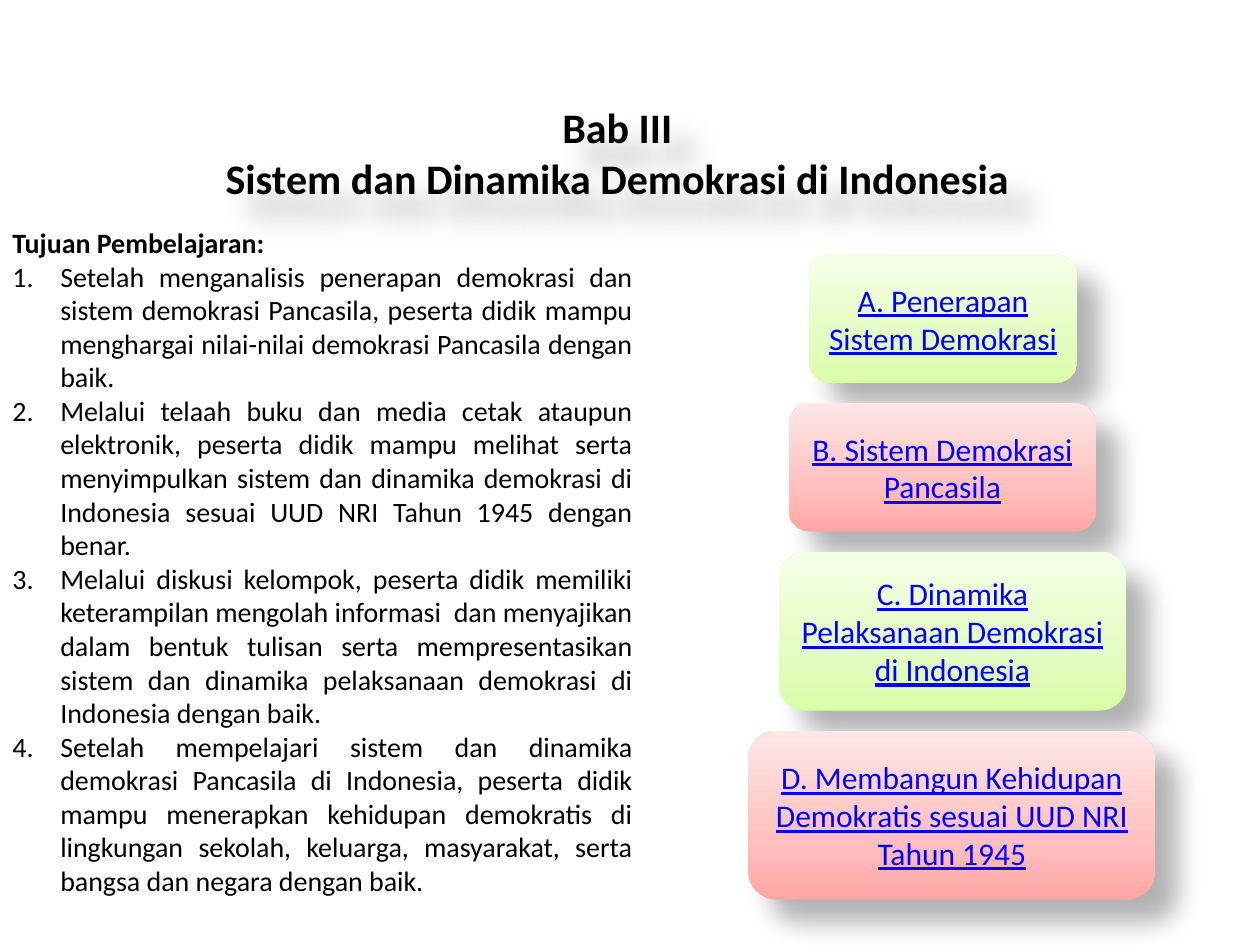
from lxml import etree
from pptx import Presentation
from pptx.dml.color import RGBColor
from pptx.enum.shapes import MSO_SHAPE
from pptx.enum.text import MSO_ANCHOR, PP_ALIGN
from pptx.oxml.ns import qn
from pptx.util import Inches, Pt

ROUNDED = MSO_SHAPE.ROUNDED_RECTANGLE
MIDDLE, TOP = MSO_ANCHOR.MIDDLE, MSO_ANCHOR.TOP
CENTER, JUSTIFY = PP_ALIGN.CENTER, PP_ALIGN.JUSTIFY

THEME = {
    "font": "Calibri",
    "text": "000000",
    "link": "0000FF",
    "title_size": 24,
    "body_size": 16,
    "button_size": 18,
    "green": ((0, "DAFDA7"), (35, "E4FCC2"), (100, "F5FFE7")),
    "red": ((0, "FFA6A5"), (35, "FFC0BF"), (100, "FFE7E7")),
    "shadow": {"color": "000000", "alpha": 30, "blur": 15, "distance": 18, "angle": 45},
}

TITLE = "Bab III\vSistem dan Dinamika Demokrasi di Indonesia"
GOALS_HEADING = "Tujuan Pembelajaran:"
GOALS = [
    "Setelah menganalisis penerapan demokrasi dan sistem demokrasi Pancasila, "
    "peserta didik mampu menghargai nilai-nilai demokrasi Pancasila dengan baik.",
    "Melalui telaah buku dan media cetak ataupun elektronik, peserta didik mampu "
    "melihat serta menyimpulkan sistem dan dinamika demokrasi di Indonesia sesuai "
    "UUD NRI Tahun 1945 dengan benar.",
    "Melalui diskusi kelompok, peserta didik memiliki keterampilan mengolah informasi  "
    "dan menyajikan dalam bentuk tulisan serta mempresentasikan sistem dan dinamika "
    "pelaksanaan demokrasi di Indonesia dengan baik.",
    "Setelah mempelajari sistem dan dinamika demokrasi Pancasila di Indonesia, peserta "
    "didik mampu menerapkan kehidupan demokratis di lingkungan sekolah, keluarga, "
    "masyarakat, serta bangsa dan negara dengan baik.",
]
BUTTONS = [
    ("A. Penerapan Sistem Demokrasi", 6.42, 2.13, 1.02),
    ("B. Sistem Demokrasi Pancasila", 6.26, 2.44, 1.02),
    ("C. Dinamika Pelaksanaan Demokrasi di Indonesia", 6.18, 2.76, 1.26),
    ("D. Membangun Kehidupan Demokratis sesuai UUD NRI Tahun 1945", 5.94, 3.23, 1.34),
]
BUTTON_COLORS = ("green", "red")
BUTTONS_TOP = 2.02
BUTTON_GAP = 0.16
NUMBER_INDENT = 0.38


def write(paragraph, text, size, color="text", align=CENTER, bold=False, underline=False):
    paragraph.text = text
    paragraph.alignment = align
    for run in paragraph.runs:
        run.font.name = THEME["font"]
        run.font.size = Pt(size)
        run.font.bold = bold
        run.font.underline = underline
        run.font.color.rgb = RGBColor.from_string(THEME[color])


def number(paragraph):
    properties = paragraph._p.get_or_add_pPr()
    indent = Inches(NUMBER_INDENT)
    properties.set("marL", str(indent))
    properties.set("indent", str(-indent))
    etree.SubElement(properties, qn("a:buFont"), typeface="+mj-lt")
    etree.SubElement(properties, qn("a:buAutoNum"), type="arabicPeriod")


def add_shadow(shape):
    style = THEME["shadow"]
    shape.shadow.inherit = False
    effects = shape._element.spPr.find(qn("a:effectLst"))
    shadow = etree.SubElement(
        effects, qn("a:outerShdw"), blurRad=str(Pt(style["blur"])),
        dist=str(Pt(style["distance"])), dir=str(style["angle"] * 60000),
        algn="tl", rotWithShape="0")
    color = etree.SubElement(shadow, qn("a:srgbClr"), val=style["color"])
    etree.SubElement(color, qn("a:alpha"), val=str(style["alpha"] * 1000))


def fill_gradient(shape, stops):
    shape.fill.gradient()
    shape.fill.gradient_angle = 90
    stop_list = shape._element.spPr.find(".//" + qn("a:gsLst"))
    for old_stop in list(stop_list):
        stop_list.remove(old_stop)
    for position, color in stops:
        stop = etree.SubElement(stop_list, qn("a:gs"), pos=str(position * 1000))
        etree.SubElement(stop, qn("a:srgbClr"), val=color)


def add_text_box(slide, left, top, width, height):
    box = slide.shapes.add_textbox(*map(Inches, (left, top, width, height)))
    box.text_frame.word_wrap = True
    box.text_frame.vertical_anchor = TOP
    return box


def add_button(slide, text, left, top, width, height, stops):
    button = slide.shapes.add_shape(ROUNDED, *map(Inches, (left, top, width, height)))
    fill_gradient(button, stops)
    button.line.fill.background()
    add_shadow(button)
    button.text_frame.word_wrap = True
    button.text_frame.vertical_anchor = MIDDLE
    write(button.text_frame.paragraphs[0], text, THEME["button_size"],
          color="link", underline=True)


def main():
    presentation = Presentation()
    presentation.slide_width = Inches(10)
    presentation.slide_height = Inches(7.5)
    slide = presentation.slides.add_slide(presentation.slide_layouts[6])

    title = add_text_box(slide, 0, 0.76, 9.8, 0.91)
    write(title.text_frame.paragraphs[0], TITLE, THEME["title_size"], bold=True)
    add_shadow(title)

    goals = add_text_box(slide, 0, 1.74, 5.12, 5.49).text_frame
    write(goals.paragraphs[0], GOALS_HEADING, THEME["body_size"], align=JUSTIFY, bold=True)
    for goal in GOALS:
        paragraph = goals.add_paragraph()
        write(paragraph, goal, THEME["body_size"], align=JUSTIFY)
        number(paragraph)

    top = BUTTONS_TOP
    for index, (text, left, width, height) in enumerate(BUTTONS):
        color = BUTTON_COLORS[index % len(BUTTON_COLORS)]
        add_button(slide, text, left, top, width, height, THEME[color])
        top += height + BUTTON_GAP

    presentation.save("out.pptx")


if __name__ == "__main__":
    main()
